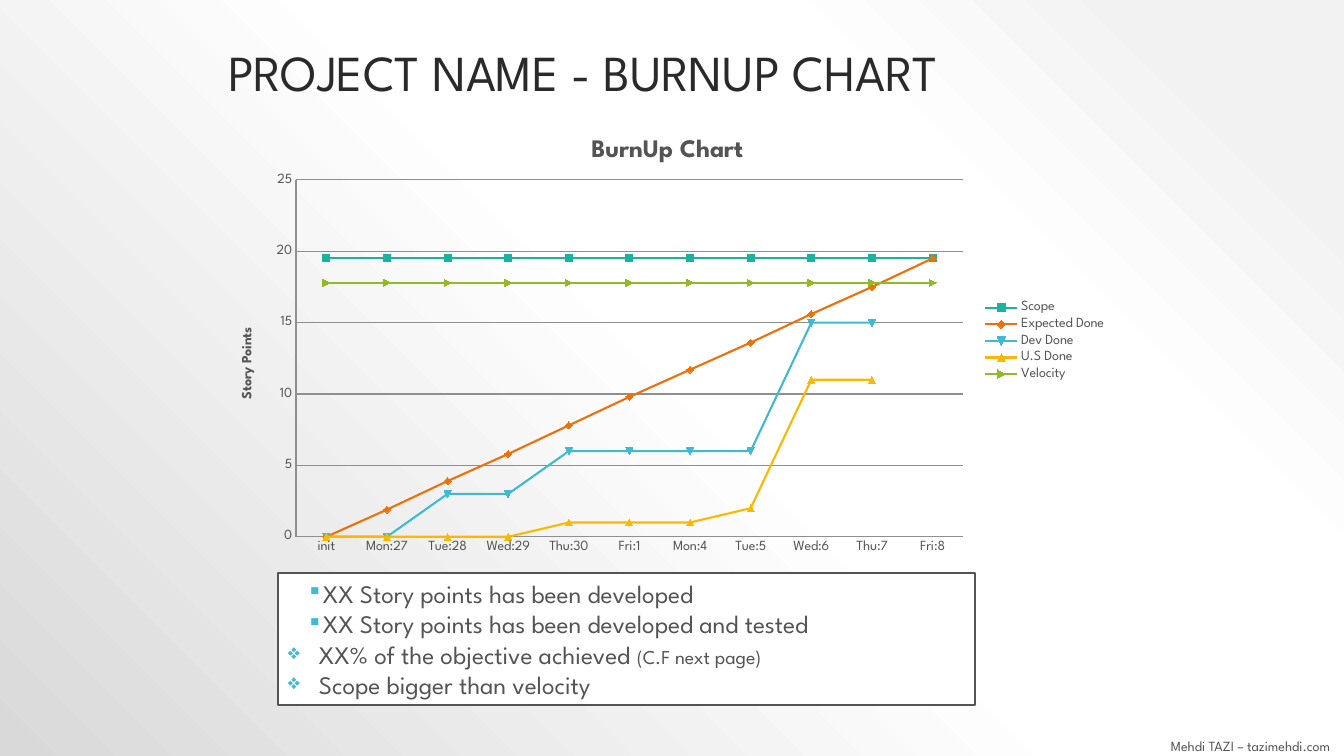
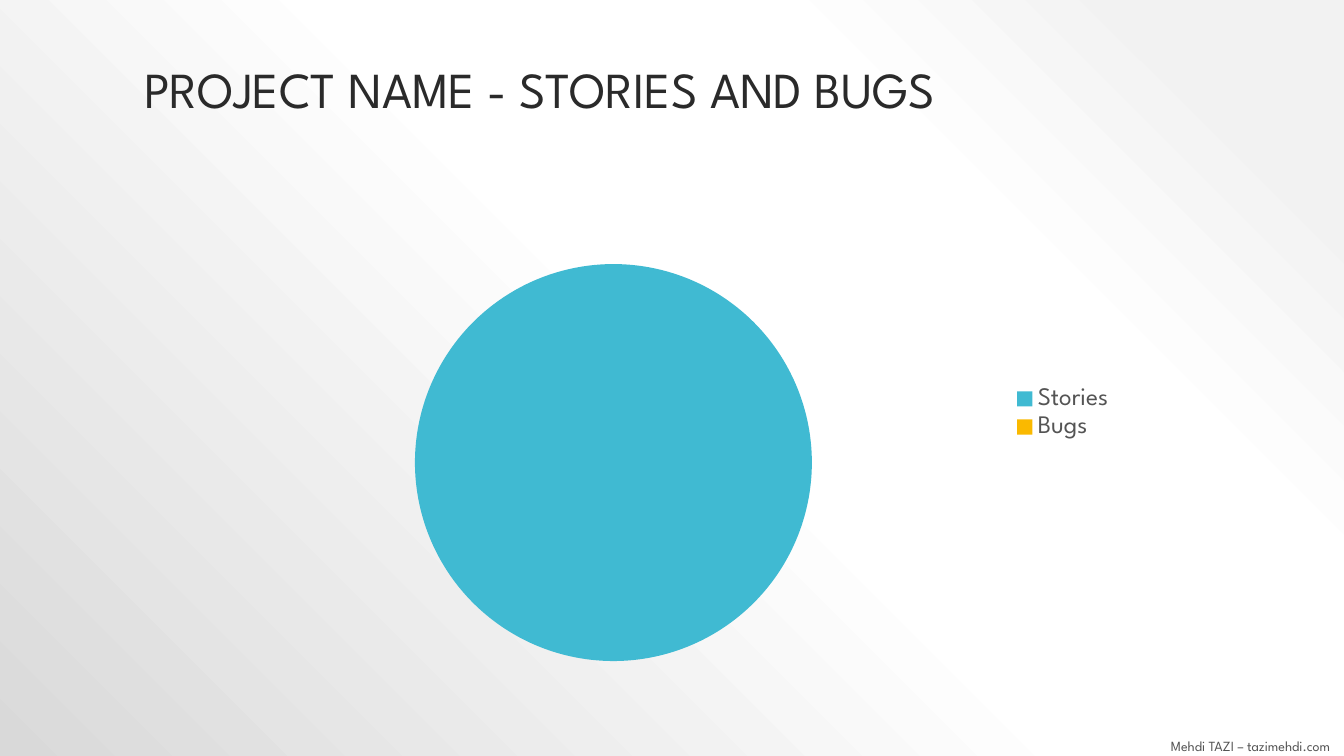
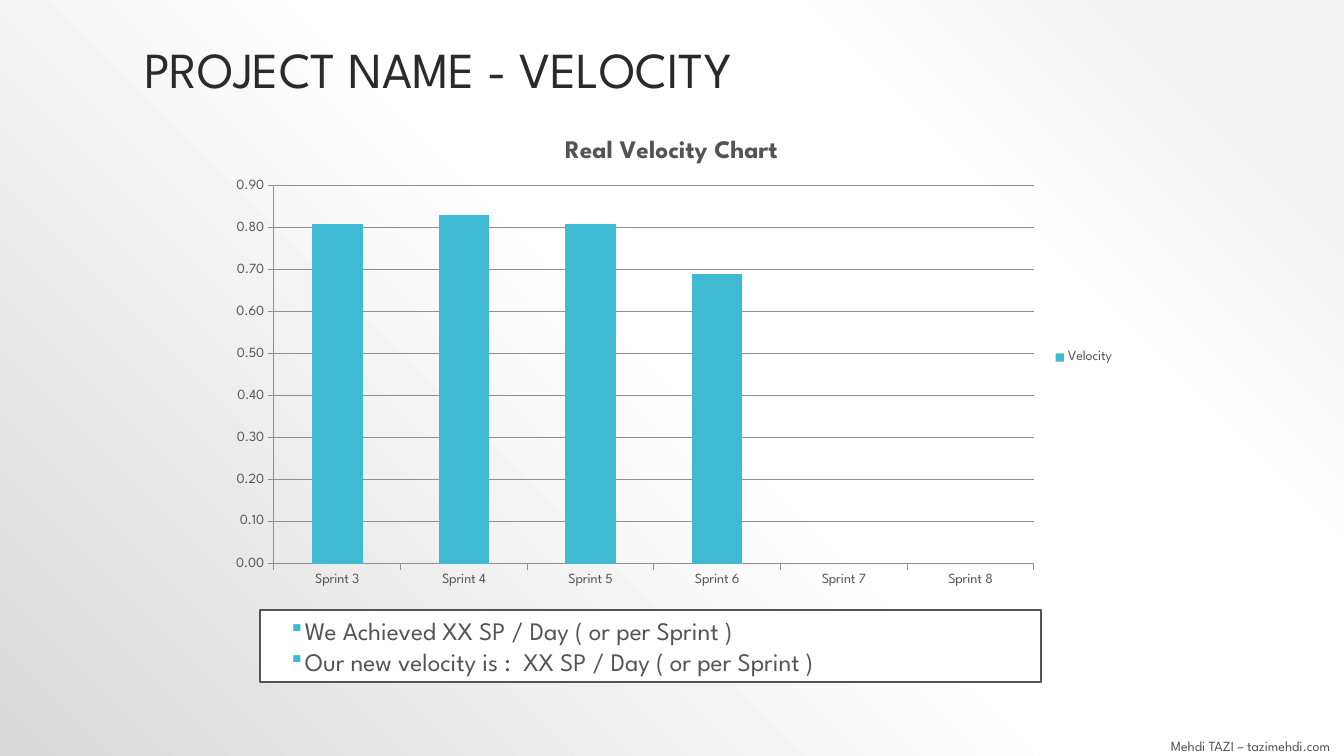
from pptx import Presentation
from pptx.chart.data import CategoryChartData
from pptx.dml.color import RGBColor
from pptx.enum.chart import XL_CHART_TYPE, XL_LEGEND_POSITION, XL_TICK_MARK
from pptx.enum.shapes import MSO_SHAPE
from pptx.enum.text import MSO_ANCHOR, MSO_AUTO_SIZE, PP_ALIGN
from pptx.oxml import parse_xml
from pptx.oxml.ns import nsdecls, qn
from pptx.util import Emu, Pt

LINE, PIE, COLUMN = (XL_CHART_TYPE.LINE_MARKERS, XL_CHART_TYPE.PIE,
                     XL_CHART_TYPE.COLUMN_CLUSTERED)
LEGEND_RIGHT = XL_LEGEND_POSITION.RIGHT
TICK_NONE, TICK_OUT = XL_TICK_MARK.NONE, XL_TICK_MARK.OUTSIDE
RECTANGLE = MSO_SHAPE.RECTANGLE
MIDDLE, BOTTOM = MSO_ANCHOR.MIDDLE, MSO_ANCHOR.BOTTOM
NO_AUTOFIT = MSO_AUTO_SIZE.NONE
LEFT, RIGHT = PP_ALIGN.LEFT, PP_ALIGN.RIGHT

EMU_PER_PX = 914400 / 100.8
FONT = "League Spartan"
COLORS = {
    "title": "2A2A2A", "text": "545454", "axis": "8F8F8F", "white": "FFFFFF",
    "teal": "1AB39F", "orange": "EE7008", "blue": "40BAD2",
    "yellow": "FAB900", "green": "90BB23",
}
BACKGROUND_STOPS = [(10, "F2F2F2"), (28, "FFFFFF"), (48, "FFFFFF"), (100, "D9D9D9")]
FOOTER = "Mehdi TAZI – tazimehdi.com"
# Bullet style: character, left margin and first-line indent in px
SQUARE = ("▪", 0, 19)
DIAMOND = ("❖", 31, -31)


def px(length):
    return Emu(round(length * EMU_PER_PX))


def color(name):
    return RGBColor.from_string(COLORS[name])


def apply(target, values):
    for name, value in values.items():
        setattr(target, name, value)


class Deck:
    def __init__(self):
        self.presentation = Presentation()
        apply(self.presentation, {"slide_width": px(1344), "slide_height": px(756)})
        self.slide = None
        self.paint_background()

    def paint_background(self):
        """Gradient on the master, centred on the top right corner."""
        master = self.presentation.slide_master
        master.background.fill.gradient()
        gradient = master.element.find(".//" + qn("a:gradFill"))
        stops = "".join(f'<a:gs pos="{position * 1000}"><a:srgbClr val="{value}"/></a:gs>'
                        for position, value in BACKGROUND_STOPS)
        gradient.getparent().replace(gradient, parse_xml(
            f'<a:gradFill {nsdecls("a")} rotWithShape="1"><a:gsLst>{stops}</a:gsLst>'
            '<a:path path="circle"><a:fillToRect l="100000" b="100000"/></a:path>'
            '</a:gradFill>'))

    def style_font(self, font, size, color_name="text", bold=False):
        apply(font, {"name": FONT, "size": Pt(size), "bold": bold})
        font.color.rgb = color(color_name)

    def add_run(self, paragraph, text, size, color_name="text", bold=False):
        run = paragraph.add_run()
        run.text = text
        self.style_font(run.font, size, color_name, bold)

    def add_slide(self, title, box):
        self.slide = self.presentation.slides.add_slide(self.presentation.slide_layouts[5])
        shape = self.slide.shapes.title
        apply(shape, dict(zip(("left", "top", "width", "height"), map(px, box))))
        apply(shape.text_frame, {"vertical_anchor": BOTTOM, "word_wrap": True,
                                 "auto_size": NO_AUTOFIT})
        paragraph = shape.text_frame.paragraphs[0]
        apply(paragraph, {"alignment": LEFT, "line_spacing": 0.9})
        self.add_run(paragraph, title, 36, "title")
        self.add_footer()

    def add_footer(self):
        frame = self.slide.shapes.add_textbox(*map(px, (1125, 736, 215, 20))).text_frame
        apply(frame, {"word_wrap": True, "vertical_anchor": MIDDLE})
        frame.paragraphs[0].alignment = RIGHT
        self.add_run(frame.paragraphs[0], FOOTER, 10)

    def add_notes_box(self, box, items):
        """Bordered box; each item is a bullet style and its (text, size) runs."""
        shape = self.slide.shapes.add_shape(RECTANGLE, *map(px, box))
        shape.shadow.inherit = False
        shape.fill.solid()
        shape.fill.fore_color.rgb = color("white")
        shape.line.color.rgb = color("text")
        shape.line.width = Pt(1)
        frame = shape.text_frame
        apply(frame, {"word_wrap": True, "vertical_anchor": MIDDLE})
        for index, (bullet, runs) in enumerate(items):
            paragraph = frame.add_paragraph() if index else frame.paragraphs[0]
            paragraph.alignment = LEFT
            self.set_bullet(paragraph, *bullet)
            for text, size in runs:
                self.add_run(paragraph, text, size)

    def set_bullet(self, paragraph, character, margin, indent):
        properties = paragraph._p.get_or_add_pPr()
        properties.set("marL", str(px(margin)))
        properties.set("indent", str(px(indent)))
        for xml in (f'<a:buClr {nsdecls("a")}><a:srgbClr val="{COLORS["blue"]}"/></a:buClr>',
                    f'<a:buSzPct {nsdecls("a")} val="85000"/>',
                    f'<a:buChar {nsdecls("a")} char="{character}"/>'):
            properties.append(parse_xml(xml))

    def add_chart(self, kind, box, categories, series, size, title=None):
        """Chart with a right legend; series maps each name to its values."""
        data = CategoryChartData()
        data.categories = categories
        for name, values in series.items():
            data.add_series(name, values)
        chart = self.slide.shapes.add_chart(kind, *map(px, box), data).chart
        self.style_font(chart.font, size)
        apply(chart, {"has_legend": True, "has_title": title is not None})
        apply(chart.legend, {"position": LEGEND_RIGHT, "include_in_layout": False})
        self.style_font(chart.legend.font, size)
        if title:
            self.add_run(chart.chart_title.text_frame.paragraphs[0], title, 18, bold=True)
            chart.chart_title.include_in_layout = False
        chart.plots[0].vary_by_categories = kind == PIE
        # Let the slide background show through
        clear = f'<c:spPr {nsdecls("c", "a")}><a:noFill/><a:ln><a:noFill/></a:ln></c:spPr>'
        chart.element.find(qn("c:chart")).addnext(parse_xml(clear))
        chart.element.find(".//" + qn("c:plotArea")).append(parse_xml(clear))
        return chart

    def place_plot(self, chart, box, plot):
        """Fix the inner plot area, given in px on the slide."""
        left, top, width, height = box
        fractions = {"x": (plot[0] - left) / width, "y": (plot[1] - top) / height,
                     "w": plot[2] / width, "h": plot[3] / height}
        values = "".join(f'<c:{key} val="{value:.4f}"/>' for key, value in fractions.items())
        area = chart.element.find(".//" + qn("c:plotArea"))
        for layout in area.findall(qn("c:layout")):
            area.remove(layout)
        area.insert(0, parse_xml(
            f'<c:layout {nsdecls("c")}><c:manualLayout><c:layoutTarget val="inner"/>'
            f'<c:xMode val="edge"/><c:yMode val="edge"/>{values}'
            '</c:manualLayout></c:layout>'))

    def style_axes(self, chart, maximum, step, number_format, tick):
        value_axis = chart.value_axis
        apply(value_axis, {"minimum_scale": 0, "maximum_scale": maximum,
                           "major_unit": step, "has_major_gridlines": True})
        apply(value_axis.tick_labels, {"number_format": number_format,
                                       "number_format_is_linked": False})
        for axis in (chart.category_axis, value_axis):
            apply(axis, {"major_tick_mark": tick, "minor_tick_mark": TICK_NONE})
            self.style_font(axis.tick_labels.font, 10)
        for item in (chart.category_axis, value_axis, value_axis.major_gridlines):
            item.format.line.color.rgb = color("axis")
            item.format.line.width = Pt(0.75)

    def fill(self, item, color_name):
        item.format.fill.solid()
        item.format.fill.fore_color.rgb = color(color_name)


def build_burnup(deck):
    deck.add_slide("PROJECT NAME - BURNUP CHART", (218, 51, 907, 57))
    deck.add_notes_box((278, 573, 697, 132), [
        (SQUARE, [("XX Story points has been developed", 18)]),
        (SQUARE, [("XX Story points has been developed and tested", 18)]),
        (DIAMOND, [("XX% of the objective achieved ", 18), ("(C.F next page)", 14)]),
        (DIAMOND, [("Scope bigger than velocity", 18)]),
    ])
    days = ["init", "Mon:27", "Tue:28", "Wed:29", "Thu:30", "Fri:1",
            "Mon:4", "Tue:5", "Wed:6", "Thu:7", "Fri:8"]
    box = (218, 118, 899, 446)
    chart = deck.add_chart(LINE, box, days, {
        "Scope": [19.5] * len(days),
        "Expected Done": [0, 1.9, 3.9, 5.8, 7.8, 9.8, 11.7, 13.6, 15.6, 17.5, 19.5],
        "Dev Done": [0, 0, 3, 3, 6, 6, 6, 6, 15, 15, None],
        "U.S Done": [0, 0, 0, 0, 1, 1, 1, 2, 11, 11, None],
        "Velocity": [17.8] * len(days),
    }, 10, "BurnUp Chart")
    deck.place_plot(chart, box, (296, 180, 667, 357))
    deck.style_axes(chart, 25, 5, "General", TICK_NONE)
    axis_title = chart.value_axis.axis_title.text_frame.paragraphs[0]
    deck.add_run(axis_title, "Story Points", 10, bold=True)
    line_colors = ("teal", "orange", "blue", "yellow", "green")
    for series, name in zip(chart.plots[0].series, line_colors):
        series.smooth = False
        series.format.line.color.rgb = color(name)
        series.format.line.width = Pt(1.5)
        deck.fill(series.marker, name)
        series.marker.format.line.color.rgb = color(name)


def build_stories(deck):
    deck.add_slide("PROJECT NAME - STORIES AND BUGS", (134, 30, 1076, 94))
    chart = deck.add_chart(PIE, (218, 151, 907, 524), ["Stories", "Bugs"],
                           {"Series 1": [100, 0]}, 18)
    for index, name in enumerate(("blue", "yellow")):
        deck.fill(chart.plots[0].series[0].points[index], name)
    series_name = chart.element.find(".//" + qn("c:ser") + "/" + qn("c:tx"))
    series_name.addnext(parse_xml(f'<c:explosion {nsdecls("c")} val="25"/>'))


def build_velocity(deck):
    deck.add_slide("PROJECT NAME - VELOCITY", (134, 30, 1076, 74))
    deck.add_notes_box((260, 610, 781, 72), [
        (SQUARE, [("We Achieved XX SP / Day ( or per Sprint )", 18)]),
        (SQUARE, [("Our new velocity is :  XX SP / Day ( or per Sprint )", 18)]),
    ])
    box = (218, 118, 907, 479)
    chart = deck.add_chart(COLUMN, box, [f"Sprint {number}" for number in range(3, 9)],
                           {"Velocity": [0.81, 0.83, 0.81, 0.69, None, None]},
                           10, "Real Velocity Chart")
    deck.place_plot(chart, box, (274, 186, 760, 378))
    deck.style_axes(chart, 0.9, 0.1, "0.00", TICK_OUT)
    chart.plots[0].gap_width = 150
    deck.fill(chart.plots[0].series[0], "blue")


def main():
    deck = Deck()
    for build in (build_burnup, build_stories, build_velocity):
        build(deck)
    deck.presentation.save("out.pptx")


if __name__ == "__main__":
    main()
